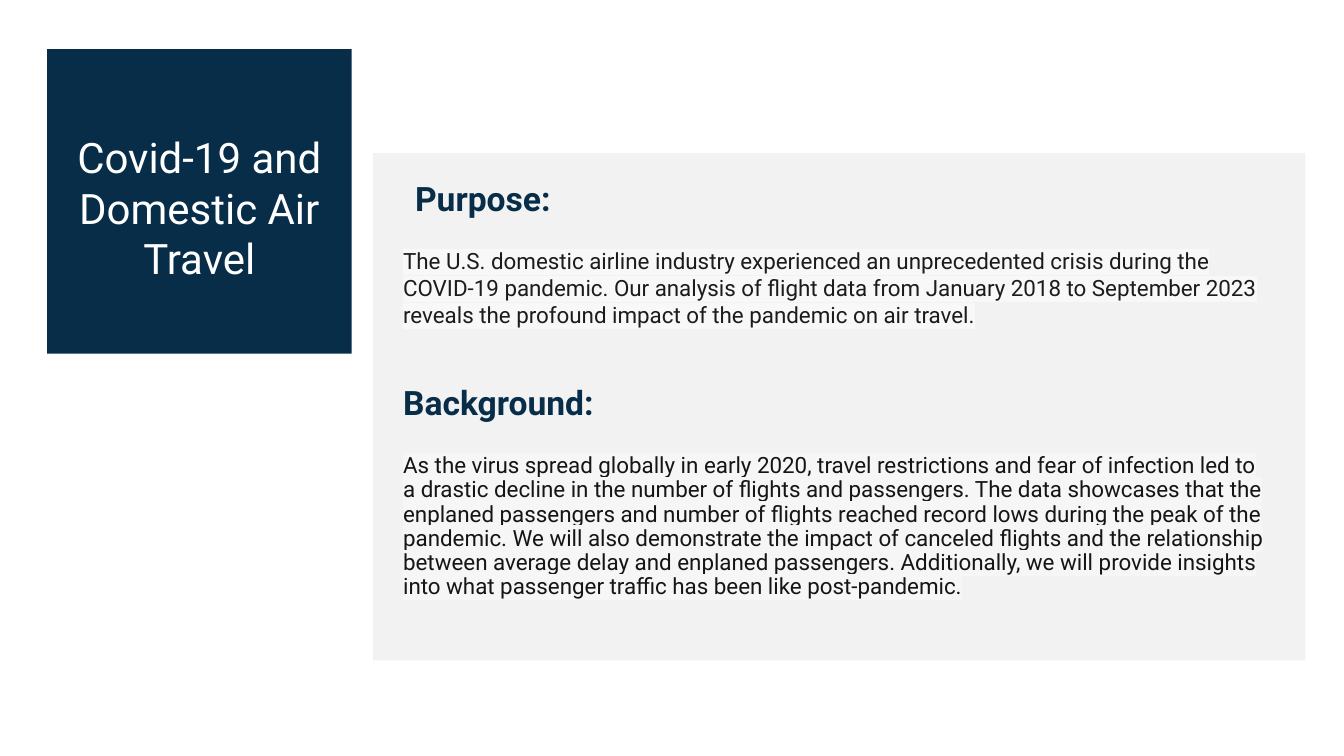
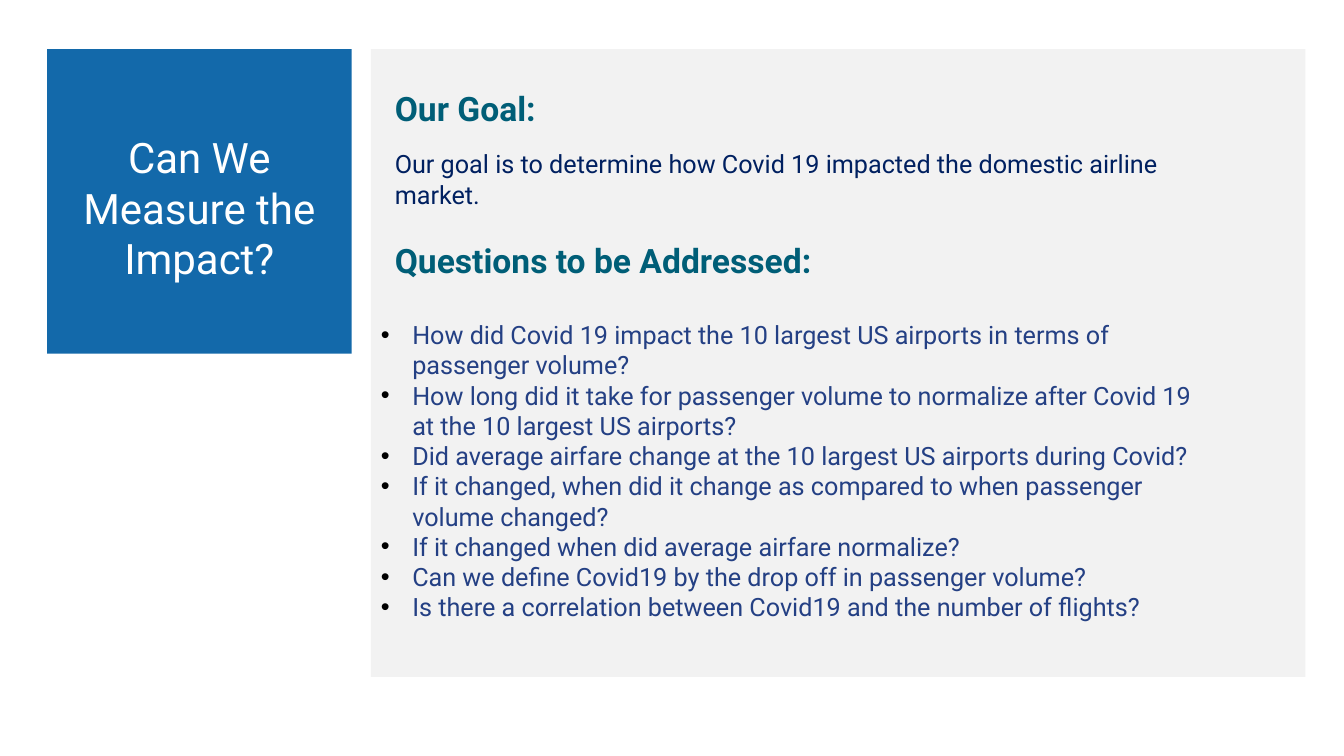
from dataclasses import dataclass

from lxml import etree
from pptx import Presentation
from pptx import util as u
from pptx.dml.color import RGBColor
from pptx.enum import shapes, text
from pptx.oxml import ns


@dataclass(frozen=True)
class Theme:
    font: str = "Roboto"
    navy: str = "082D49"
    blue: str = "1369AA"
    teal: str = "005E77"
    ink: str = "161516"
    soft: str = "1D1C1D"
    deep: str = "002060"
    list: str = "244084"
    panel: str = "F2F2F2"
    white: str = "FFFFFF"
    black: str = "000000"
    title: int = 30
    head: int = 24
    large: int = 18
    small: int = 16


T = Theme()
TIGHT = 0.9
INSET = 0.25
TILE = (1.19, 1.24, 7.67, 7.67)


def paint(shape, color):
    shape.fill.solid()
    shape.fill.fore_color.rgb = RGBColor.from_string(color)
    shape.line.fill.background()


def place(shape, left, top, wide, high):
    shape.left, shape.top = u.Cm(left), u.Cm(top)
    shape.width, shape.height = u.Cm(wide), u.Cm(high)


def frame(shape, side=INSET, top=INSET, anchor=text.MSO_ANCHOR.TOP):
    """Set wrapping, insets and anchor, and return the text frame."""
    tf = shape.text_frame
    tf.word_wrap = True
    tf.auto_size = text.MSO_AUTO_SIZE.NONE
    tf.vertical_anchor = anchor
    tf.margin_left = tf.margin_right = u.Cm(side)
    tf.margin_top, tf.margin_bottom = u.Cm(top), u.Cm(INSET)
    return tf


def tint(parent, tag, color):
    """Add a DrawingML colour holder, such as a highlight, to parent."""
    node = etree.SubElement(parent, ns.qn(tag))
    etree.SubElement(node, ns.qn("a:srgbClr"), val=color)
    return node


def bullet(par, indent=0.79):
    props = par._p.get_or_add_pPr()
    props.set("marL", str(u.Cm(indent)))
    props.set("indent", str(-u.Cm(indent)))
    tint(props, "a:buClr", T.black)
    etree.SubElement(props, ns.qn("a:buFont"), typeface="Arial")
    etree.SubElement(props, ns.qn("a:buChar"), char="•")


def write(par, words, size=T.small, color=T.ink, bold=False, mark=None,
          align=text.PP_ALIGN.LEFT, space=1.0):
    """Fill a paragraph with one run; mark is a highlight colour."""
    par.alignment, par.line_spacing = align, space
    par.space_before = par.space_after = u.Pt(0)
    run = par.add_run()
    run.text = words
    font = run.font
    font.size, font.bold = u.Pt(size), bold
    font.color.rgb = RGBColor.from_string(color)
    font.name = T.font
    if mark:
        props = run._r.get_or_add_rPr()
        props.find(ns.qn("a:latin")).addprevious(
            tint(props, "a:highlight", mark))


class Deck:
    def __init__(self):
        self.file = Presentation()
        self.file.slide_width = u.Cm(33.87)
        self.file.slide_height = u.Cm(19.05)
        self.slide = None

    def page(self, layout, title, color):
        """Start a slide with its title set in a coloured tile."""
        self.slide = self.file.slides.add_slide(
            self.file.slide_layouts.get_by_name(layout))
        tile = self.slide.shapes.title
        place(tile, *TILE)
        paint(tile, color)
        tf = frame(tile, side=0.68, top=0.55, anchor=text.MSO_ANCHOR.MIDDLE)
        write(tf.paragraphs[0], title, size=T.title, color=T.white,
              align=text.PP_ALIGN.CENTER)

    def panel(self, *area):
        """Add the grey panel behind everything else on the slide."""
        box = self.slide.shapes.add_shape(
            shapes.MSO_SHAPE.RECTANGLE, *map(u.Cm, area))
        box.shadow.inherit = False
        paint(box, T.panel)
        box.element.getparent().insert(2, box.element)

    def note(self, words, left, top, wide, high, **style):
        box = self.slide.shapes.add_textbox(
            *map(u.Cm, (left, top, wide, high)))
        write(frame(box).paragraphs[0], words, **style)

    def head(self, words, left, top, color):
        self.note(words, left, top, 20, 1.45, size=T.head, color=color,
                  bold=True, space=TIGHT)

    def list(self, items, *area):
        body = self.slide.placeholders[1]
        place(body, *area)
        tf = frame(body)
        for i, item in enumerate(items):
            par = tf.add_paragraph() if i else tf.paragraphs[0]
            write(par, item, size=T.large, color=T.list)
            bullet(par)


def purpose(deck):
    deck.page("Title Only", "Covid-19 and Domestic Air Travel", T.navy)
    deck.panel(9.4, 3.86, 23.5, 12.78)
    deck.head("Purpose:", 10.21, 4.34, T.navy)
    deck.note(
        "The U.S. domestic airline industry experienced an unprecedented "
        "crisis during the COVID-19 pandemic. Our analysis of flight data "
        "from January 2018 to September 2023 reveals the profound impact of "
        "the pandemic on air travel.",
        9.91, 5.99, 22.4, 2.5, color=T.soft, mark="F8F8F8")
    deck.head("Background:", 9.91, 9.5, T.navy)
    deck.note(
        "As the virus spread globally in early 2020, travel restrictions and "
        "fear of infection led to a drastic decline in the number of flights "
        "and passengers. The data showcases that the enplaned passengers and "
        "number of flights reached record lows during the peak of the "
        "pandemic. We will also demonstrate the impact of canceled flights "
        "and the relationship between average delay and enplaned passengers. "
        "Additionally, we will provide insights into what passenger traffic "
        "has been like post-pandemic.",
        9.91, 11.2, 22.4, 4.7, mark="F6F6F6", space=TIGHT)


def goal(deck):
    deck.page("Title and Content", "Can We Measure the Impact?", T.blue)
    deck.panel(9.35, 1.24, 23.55, 15.82)
    deck.head("Our Goal:", 9.7, 2.08, T.teal)
    deck.note(
        "Our goal is to determine how Covid 19 impacted the domestic airline "
        "market.", 9.7, 3.5, 21.4, 2, size=T.large, color=T.deep)
    deck.head("Questions to be Addressed:", 9.7, 5.92, T.teal)
    deck.list([
        "How did Covid 19 impact the 10 largest US airports in terms of "
        "passenger volume?",
        "How long did it take for passenger volume to normalize after "
        "Covid 19 at the 10 largest US airports?",
        "Did average airfare change at the 10 largest US airports during "
        "Covid?",
        "If it changed, when did it change as compared to when passenger "
        "volume changed?",
        "If it changed when did average airfare normalize?",
        "Can we define Covid19 by the drop off in passenger volume?",
        "Is there a correlation between Covid19 and the number of flights?",
    ], 9.35, 7.8, 21.4, 8.2)


def main():
    deck = Deck()
    purpose(deck)
    goal(deck)
    deck.file.save("out.pptx")


if __name__ == "__main__":
    main()
